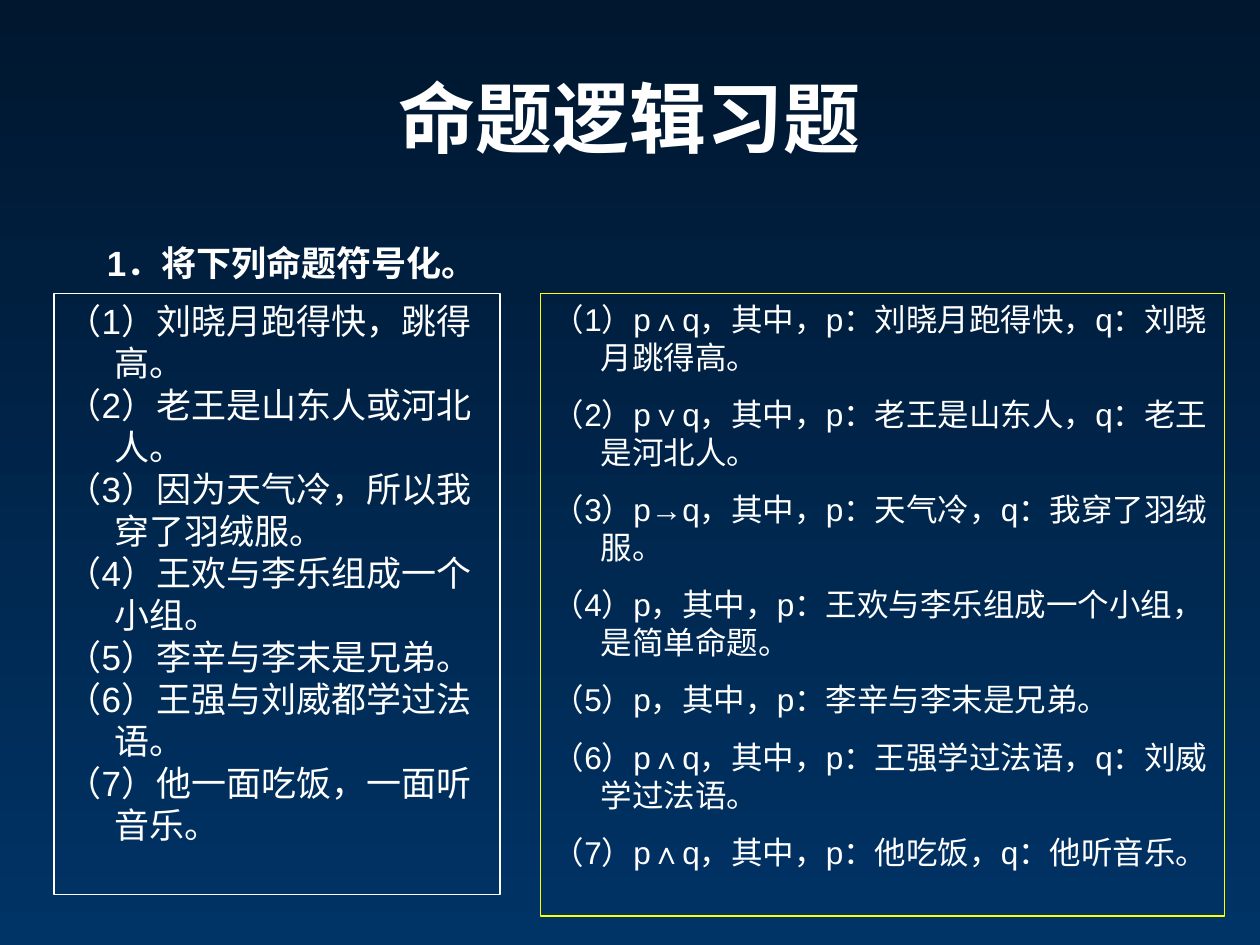
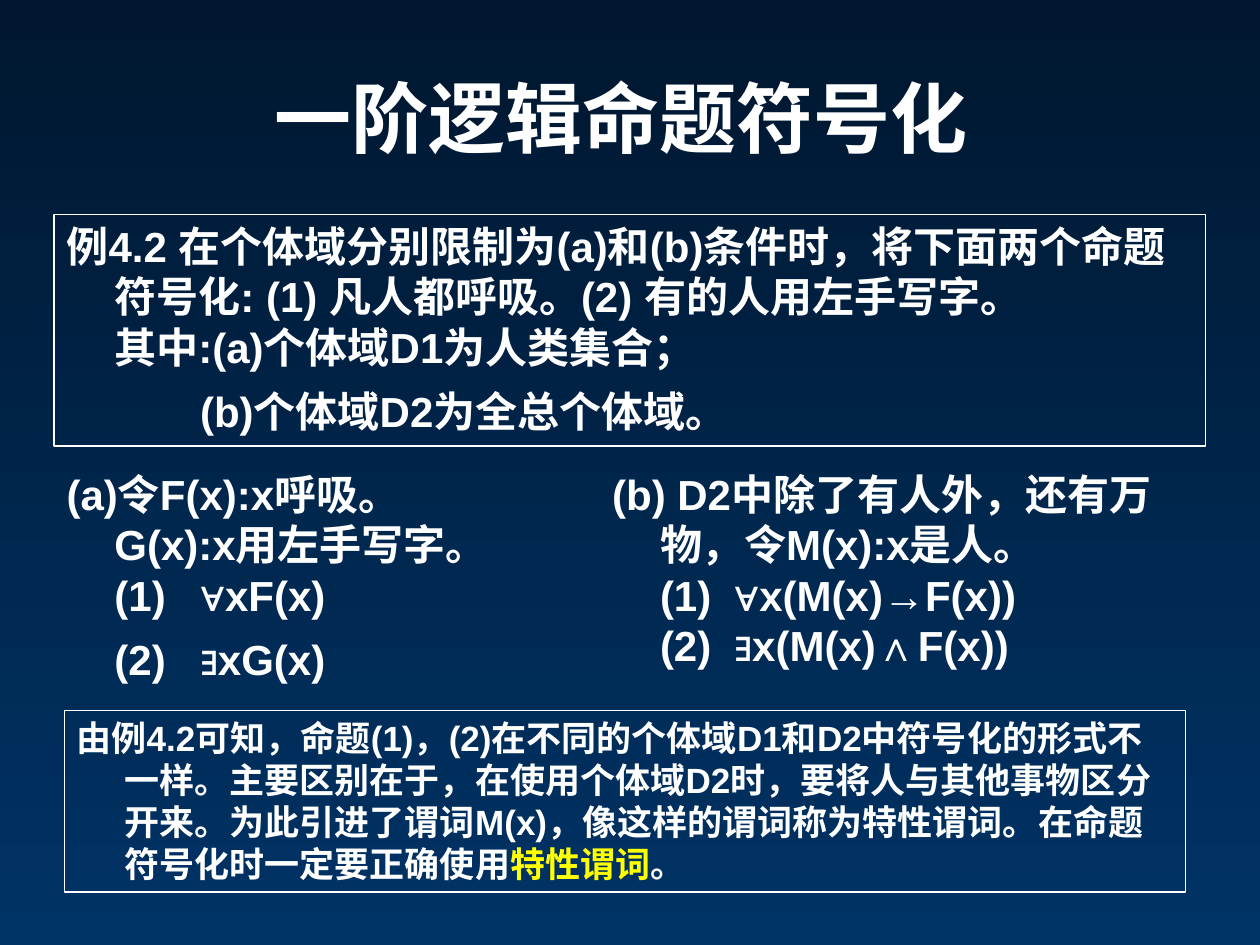
from dataclasses import dataclass

from pptx import Presentation
from pptx.dml.color import RGBColor
from pptx.enum.lang import MSO_LANGUAGE_ID
from pptx.enum.shapes import MSO_SHAPE
from pptx.enum.text import MSO_ANCHOR, MSO_AUTO_SIZE, PP_ALIGN
from pptx.presentation import Presentation as Deck
from pptx.slide import Slide
from pptx.util import Inches, Pt


@dataclass(frozen=True)
class Theme:
    font: str = "Arial"
    white: str = "FFFFFF"
    yellow: str = "FFFF00"
    top: str = "00172F"
    bottom: str = "003366"
    title: int = 44
    gap: int = 32
    large: int = 24
    body: int = 20
    small: int = 18
    hang: float = 0.38


THEME = Theme()


@dataclass(frozen=True)
class Span:
    text: str
    color: str = THEME.white
    size: int | None = None


@dataclass(frozen=True)
class Line:
    spans: tuple[Span, ...]
    left: float = THEME.hang
    first: float = -THEME.hang


@dataclass(frozen=True)
class Panel:
    left: float
    top: float
    width: float
    height: float
    lines: tuple[Line, ...]
    size: int
    bold: bool = True
    border: str | None = None
    before: float = 0
    align: PP_ALIGN = PP_ALIGN.LEFT
    anchor: MSO_ANCHOR = MSO_ANCHOR.TOP


def line(text: str, left: float = THEME.hang, first: float = -THEME.hang) -> Line:
    return Line((Span(text),), left, first)


def formula(text: str, left: float) -> Line:
    return line(text, left, THEME.hang - left)


def numbered(*items: str) -> tuple[Line, ...]:
    return tuple(line(f"（{number}）{item}") for number, item in enumerate(items, 1))


GAP = Span(" ", size=THEME.gap)

EXERCISE_PANELS = (
    Panel(0.75, 1.7, 5.2, 0.64, (Line((Span("1．将下列命题符号化。"), GAP)),), THEME.body),
    Panel(0.43, 2.33, 3.54, 4.77, numbered(
        "刘晓月跑得快，跳得高。",
        "老王是山东人或河北人。",
        "因为天气冷，所以我穿了羽绒服。",
        "王欢与李乐组成一个小组。",
        "李辛与李末是兄弟。",
        "王强与刘威都学过法语。",
        "他一面吃饭，一面听音乐。",
    ), THEME.body, bold=False, border=THEME.white),
    Panel(4.29, 2.33, 5.43, 4.94, numbered(
        "p∧q，其中，p：刘晓月跑得快，q：刘晓月跳得高。",
        "p∨q，其中，p：老王是山东人，q：老王是河北人。",
        "p→q，其中，p：天气冷，q：我穿了羽绒服。",
        "p，其中，p：王欢与李乐组成一个小组，是简单命题。",
        "p，其中，p：李辛与李末是兄弟。",
        "p∧q，其中，p：王强学过法语，q：刘威学过法语。",
        "p∧q，其中，p：他吃饭，q：他听音乐。",
    ), THEME.small, bold=False, border=THEME.yellow, before=11.2),
)

PREDICATE_PANELS = (
    Panel(0.43, 1.7, 9.14, 1.84, (
        line("例4.2 在个体域分别限制为(a)和(b)条件时，将下面两个命题符号化: (1) 凡人都呼吸。(2) 有的人用左手写字。"),
        line("其中:(a)个体域D1为人类集合；", first=0),
        Line((Span("(b)个体域D2为全总个体域。"), GAP), 1.06, 0),
    ), THEME.large, border=THEME.white),
    Panel(0.43, 3.67, 3.78, 1.84, (
        line("(a)令F(x):x呼吸。G(x):x用左手写字。"),
        formula("(1)\t∀xF(x)", 1.06),
        Line((Span("(2)\t∃xG(x)"), GAP), 1.06, THEME.hang - 1.06),
    ), THEME.large),
    Panel(4.76, 3.67, 4.65, 1.7, (
        line("(b) D2中除了有人外，还有万物，令M(x):x是人。"),
        formula("(1)\t∀x(M(x)→F(x))", 0.97),
        formula("(2)\t∃x(M(x)∧F(x))", 0.97),
    ), THEME.large),
    Panel(0.51, 5.64, 8.9, 1.44, (
        Line((
            Span("由例4.2可知，命题(1)，(2)在不同的个体域D1和D2中符号化的形式不一样。"
                 "主要区别在于，在使用个体域D2时，要将人与其他事物区分开来。"
                 "为此引进了谓词M(x)，像这样的谓词称为特性谓词。在命题符号化时一定要正确使用"),
            Span("特性谓词", THEME.yellow),
            Span("。"),
        )),
    ), THEME.body, border=THEME.white),
)


def paint_background(deck: Deck) -> None:
    fill = deck.slide_master.background.fill
    fill.gradient()
    fill.gradient_angle = 270
    for stop, color, position in zip(fill.gradient_stops, (THEME.top, THEME.bottom), (0, 1)):
        stop.color.rgb = RGBColor.from_string(color)
        stop.position = position


def add_panel(page: Slide, panel: Panel) -> None:
    area = [Inches(value) for value in (panel.left, panel.top, panel.width, panel.height)]
    if panel.border:
        box = page.shapes.add_shape(MSO_SHAPE.RECTANGLE, *area)
        box.shadow.inherit = False
        box.fill.background()
        box.line.color.rgb = RGBColor.from_string(panel.border)
        box.line.width = Pt(0.75)
    else:
        box = page.shapes.add_textbox(*area)
    frame = box.text_frame
    frame.word_wrap = True
    frame.auto_size = MSO_AUTO_SIZE.NONE
    frame.vertical_anchor = panel.anchor
    for index, entry in enumerate(panel.lines):
        para = frame.add_paragraph() if index else frame.paragraphs[0]
        para.alignment = panel.align
        para.space_before = Pt(panel.before)
        properties = para._p.get_or_add_pPr()
        properties.set("marL", str(Inches(entry.left)))
        properties.set("indent", str(Inches(entry.first)))
        for span in entry.spans:
            run = para.add_run()
            run.text = span.text
            run.font.name = THEME.font
            run.font.size = Pt(span.size or panel.size)
            run.font.bold = panel.bold
            run.font.language_id = MSO_LANGUAGE_ID.SIMPLIFIED_CHINESE
            run.font.color.rgb = RGBColor.from_string(span.color)


def add_page(deck: Deck, title: str, panels: tuple[Panel, ...]) -> None:
    page = deck.slides.add_slide(deck.slide_layouts[6])
    heading = Panel(0.5, 0.3, 9, 1.25, (line(title, 0, 0),), THEME.title,
                    align=PP_ALIGN.CENTER, anchor=MSO_ANCHOR.MIDDLE)
    for panel in (heading, *panels):
        add_panel(page, panel)


def main() -> None:
    """Build the two logic exercise slides."""
    deck = Presentation()
    deck.slide_width, deck.slide_height = Inches(10), Inches(7.5)
    paint_background(deck)
    add_page(deck, "命题逻辑习题", EXERCISE_PANELS)
    add_page(deck, "一阶逻辑命题符号化 ", PREDICATE_PANELS)
    deck.save("out.pptx")


if __name__ == "__main__":
    main()
